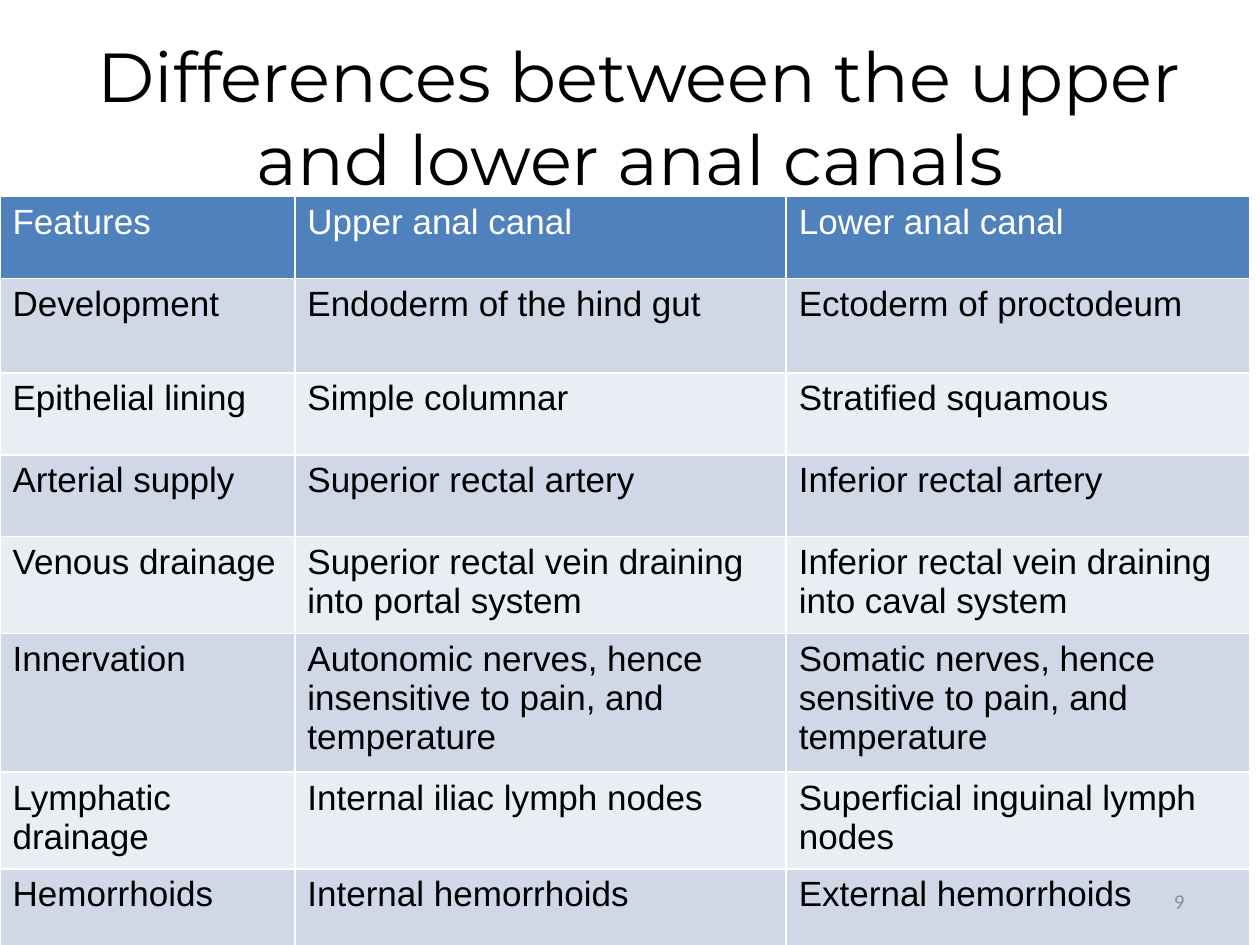
from lxml import etree
from pptx import Presentation
from pptx.dml.color import RGBColor
from pptx.enum.text import MSO_ANCHOR, PP_ALIGN
from pptx.oxml.ns import qn
from pptx.util import Inches, Pt

CENTER, RIGHT, LEFT = PP_ALIGN.CENTER, PP_ALIGN.RIGHT, PP_ALIGN.LEFT
MIDDLE = MSO_ANCHOR.MIDDLE

WHITE, BLACK, GREY = "FFFFFF", "000000", "8C8C8C"
HEAD, BANDS = "4F81BD", ("E9EDF4", "D0D8E8")

WIDTHS = (2.34, 3.9, 3.68)
HEIGHTS = (0.65, 0.75, 0.65, 0.65, 0.75, 1.08, 0.75, 0.65)
ROWS = (
    ("Features", "Upper anal canal", "Lower anal canal"),
    ("Development", "Endoderm of the hind gut", "Ectoderm of proctodeum"),
    ("Epithelial lining", "Simple columnar", "Stratified squamous"),
    ("Arterial supply", "Superior rectal artery", "Inferior rectal artery"),
    ("Venous drainage", "Superior rectal vein draining into portal system",
     "Inferior rectal vein draining into caval system"),
    ("Innervation",
     "Autonomic nerves, hence insensitive to pain, and temperature",
     "Somatic nerves, hence sensitive to pain, and temperature"),
    ("Lymphatic drainage", "Internal iliac lymph nodes",
     "Superficial inguinal lymph nodes"),
    ("Hemorrhoids", "Internal hemorrhoids", "External hemorrhoids"),
)


def paint(item, color):
    """Give a fill one solid colour."""
    item.solid()
    item.fore_color.rgb = RGBColor.from_string(color)


def write(frame, text, face, size, color, align):
    para = frame.paragraphs[0]
    para.text = text
    para.alignment = align
    font = para.font
    font.name, font.size, font.bold = face, Pt(size), False
    paint(font.fill, color)


def add_text(slide, box, text, face, size, color, align):
    frame = slide.shapes.add_textbox(*map(Inches, box)).text_frame
    frame.word_wrap = True
    frame.vertical_anchor = MIDDLE
    write(frame, text, face, size, color, align)


def add_edges(cell, color, width):
    """Draw all four borders; they must come before the cell's fill."""
    props = cell._tc.get_or_add_tcPr()
    for side in ("lnL", "lnR", "lnT", "lnB"):
        line = etree.SubElement(props, qn("a:" + side), w=str(Pt(width)))
        fill = etree.SubElement(line, qn("a:solidFill"))
        etree.SubElement(fill, qn("a:srgbClr"), val=color)


def add_grid(slide, left, top):
    size = (Inches(sum(WIDTHS)), Inches(sum(HEIGHTS)))
    table = slide.shapes.add_table(
        len(ROWS), len(WIDTHS), Inches(left), Inches(top), *size).table
    table.horz_banding = False
    for col, width in zip(table.columns, WIDTHS):
        col.width = Inches(width)
    for i, (row, height) in enumerate(zip(table.rows, HEIGHTS)):
        row.height = Inches(height)
        for cell, text in zip(row.cells, ROWS[i]):
            add_edges(cell, WHITE, 1)
            paint(cell.fill, BANDS[i % 2] if i else HEAD)
            write(cell.text_frame, text, "Arial", 20,
                  BLACK if i else WHITE, LEFT)


def main():
    deck = Presentation()
    deck.slide_width, deck.slide_height = Inches(10), Inches(7.5)
    slide = deck.slides.add_slide(deck.slide_layouts[6])
    paint(slide.background.fill, WHITE)

    # Title
    add_text(slide, (0.5, 0.3, 9, 1.25),
             " Differences between the upper and lower anal canals",
             "Montserrat", 39.6, BLACK, CENTER)

    # Comparison table
    add_grid(slide, 0, 1.56)

    # Slide number
    add_text(slide, (7.17, 6.95, 2.33, 0.4), "9", "Calibri", 12, GREY, RIGHT)

    deck.save("out.pptx")


if __name__ == "__main__":
    main()
